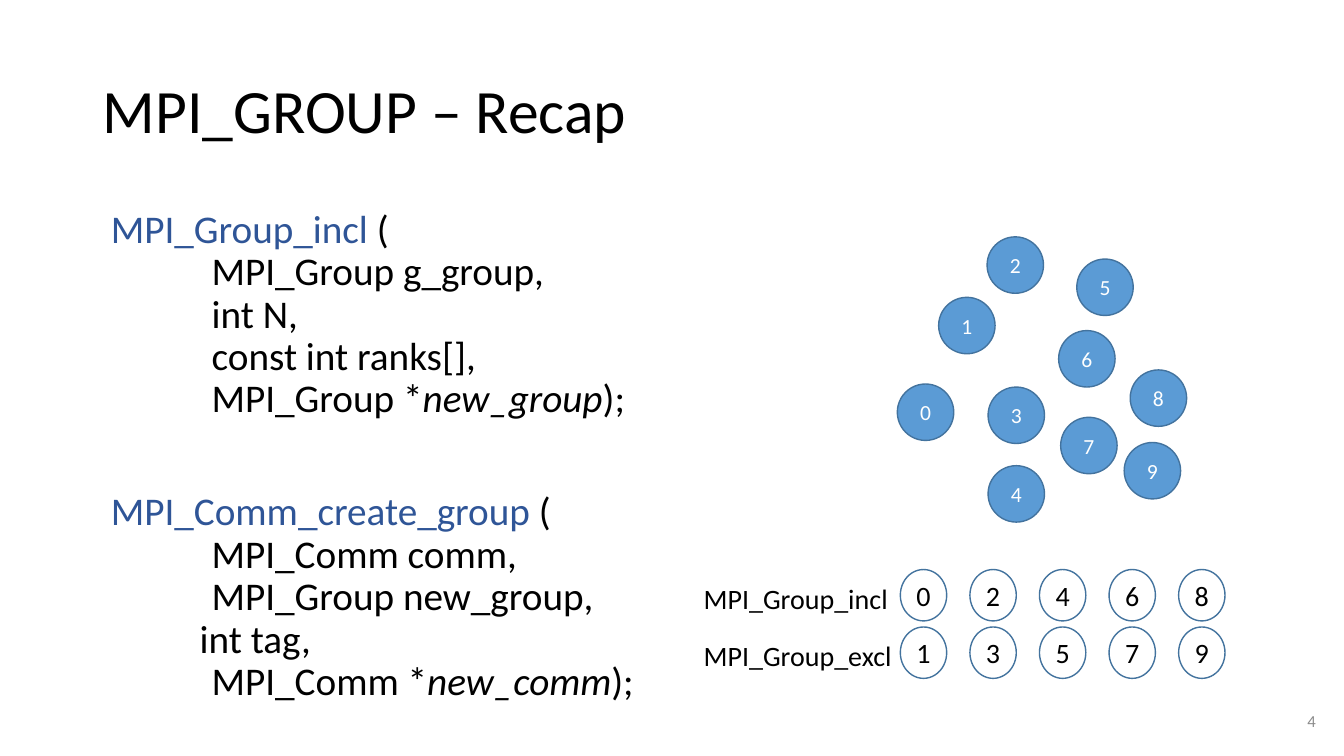
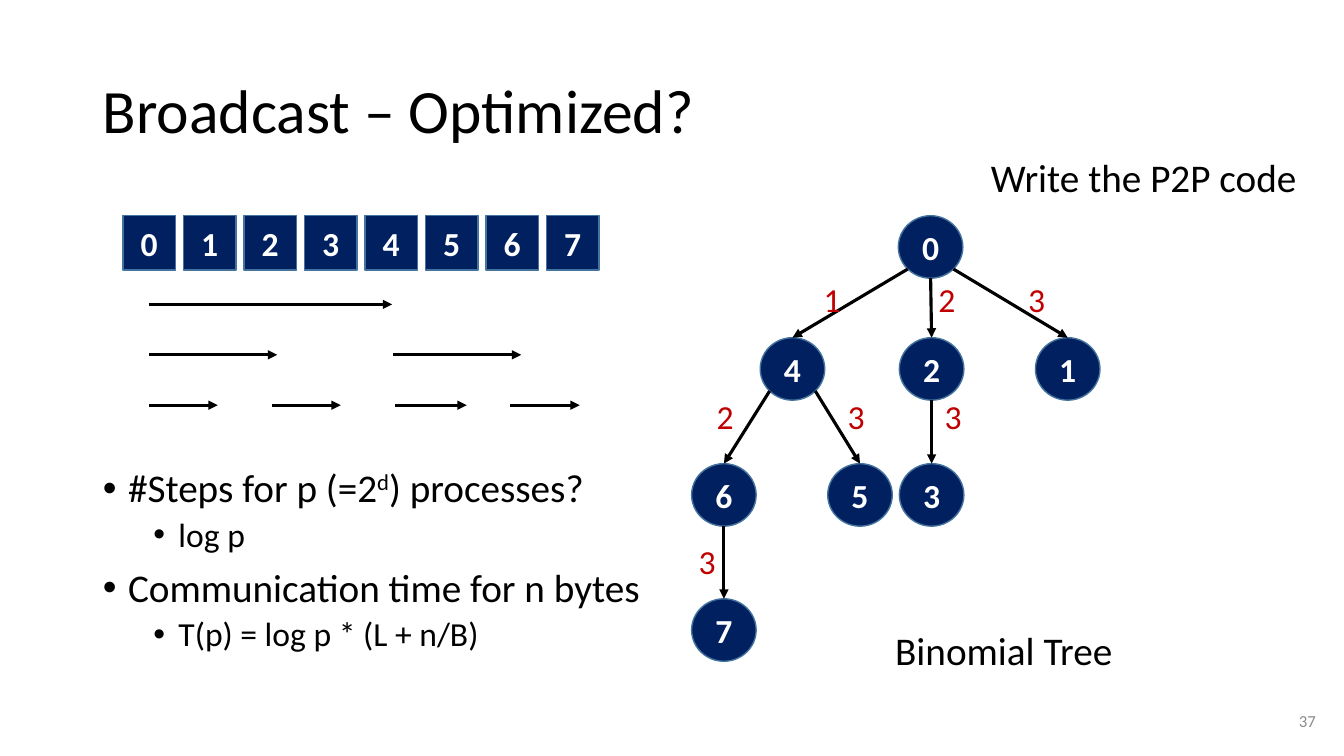
from math import sqrt

from lxml import etree
from pptx import Presentation
from pptx.dml.color import RGBColor
from pptx.enum import shapes, text
from pptx.oxml import ns
from pptx.util import Inches, Pt

FONT = "Calibri"
BLACK = RGBColor(0x00, 0x00, 0x00)
WHITE = RGBColor(0xFF, 0xFF, 0xFF)
GREY = RGBColor(0x8C, 0x8C, 0x8C)
RED = RGBColor(0xC0, 0x00, 0x00)
NAVY = RGBColor(0x00, 0x20, 0x60)
SKY = RGBColor(0x5B, 0x9B, 0xD5)
OUTLINE = RGBColor(0x43, 0x73, 0x9E)
FUNCTION_BLUE = RGBColor(0x2F, 0x55, 0x97)

OVAL = shapes.MSO_SHAPE.OVAL
RECT = shapes.MSO_SHAPE.RECTANGLE
ALIGN = text.PP_ALIGN


def add_run(p, words, size, color=BLACK, bold=False, italic=False):
    r = p.add_run()
    r.text = words
    f = r.font
    f.name, f.size, f.bold, f.italic = FONT, Pt(size), bold, italic
    f.color.rgb = color
    return r


def place(sp, x, y, w, h):
    sp.left, sp.top, sp.width, sp.height = map(Inches, (x, y, w, h))


def add_label(s, x, y, w, h, words, size, color=BLACK, align=ALIGN.LEFT):
    tf = s.shapes.add_textbox(*map(Inches, (x, y, w, h))).text_frame
    tf.word_wrap = False
    p = tf.paragraphs[0]
    p.alignment = align
    add_run(p, words, size, color)
    return tf


def add_node(s, kind, x, y, w, h, words, size, fill, color=WHITE, bold=False):
    """Outlined shape with a short centred text."""
    sp = s.shapes.add_shape(kind, *map(Inches, (x, y, w, h)))
    sp.shadow.inherit = False
    sp.fill.solid()
    sp.fill.fore_color.rgb = fill
    sp.line.color.rgb = OUTLINE
    sp.line.width = Pt(1)
    tf = sp.text_frame
    tf.margin_left = tf.margin_right = tf.margin_top = tf.margin_bottom = 0
    tf.vertical_anchor = text.MSO_ANCHOR.MIDDLE
    p = tf.paragraphs[0]
    p.alignment = ALIGN.CENTER
    add_run(p, words, size, color, bold)


def add_arrow(s, x1, y1, x2, y2):
    line = s.shapes.add_connector(
        shapes.MSO_CONNECTOR.STRAIGHT, *map(Inches, (x1, y1, x2, y2)))
    line.line.color.rgb = BLACK
    line.line.width = Pt(2.25)
    etree.SubElement(line.line._get_or_add_ln(), ns.qn("a:tailEnd"), type="triangle")
    etree.SubElement(line._element.spPr, ns.qn("a:effectLst"))


def format_paragraph(p, margin, indent, before, bullet=None):
    pPr = p._p.get_or_add_pPr()
    pPr.set("marL", str(Inches(margin)))
    pPr.set("indent", str(Inches(indent)))
    if bullet:
        etree.SubElement(pPr, ns.qn("a:buFont"), typeface="Arial")
        etree.SubElement(pPr, ns.qn("a:buChar"), char=bullet)
    else:
        etree.SubElement(pPr, ns.qn("a:buNone"))
    p.alignment = ALIGN.LEFT
    p.line_spacing = 0.9
    p.space_before = Pt(before)


def add_slide(prs, title, number, body_box):
    """Slide with title and page number; returns it with its body text frame."""
    s = prs.slides.add_slide(prs.slide_layouts[1])
    place(s.shapes.title, 0.92, 0.4, 11.5, 1.45)
    body = s.placeholders[1]
    place(body, *body_box)
    for tf in (s.shapes.title.text_frame, body.text_frame):
        tf.auto_size = text.MSO_AUTO_SIZE.NONE
        tf.word_wrap = True
    tf = s.shapes.title.text_frame
    tf.vertical_anchor = text.MSO_ANCHOR.MIDDLE
    format_paragraph(tf.paragraphs[0], 0, 0, 0)
    add_run(tf.paragraphs[0], title, 44)
    tf = add_label(s, 9.42, 6.95, 3.73, 0.4, number, 12, GREY, ALIGN.RIGHT)
    tf.word_wrap = True
    tf.vertical_anchor = text.MSO_ANCHOR.MIDDLE
    return s, body.text_frame


def next_paragraph(tf):
    return tf.add_paragraph() if tf.paragraphs[0].runs else tf.paragraphs[0]


def add_signature(tf, name, parameters, result_type, result, before):
    """Function signature, one parameter per line, the result in italics."""
    p = next_paragraph(tf)
    format_paragraph(p, 0.08, 0, before)
    add_run(p, name, 28, FUNCTION_BLUE)
    add_run(p, " (", 28)
    for words, margin in parameters + [(result_type, 1.08)]:
        p = tf.add_paragraph()
        format_paragraph(p, margin, 0, 0)
        add_run(p, words, 28)
    add_run(p, result, 28, italic=True)
    add_run(p, ");", 28)


def add_process_cloud(s, x, y):
    centres = [(0, 1.46), (0.41, 0.6), (0.89, 0), (0.9, 1.49), (0.9, 2.27),
               (1.78, 0.22), (1.6, 0.93), (1.62, 1.79), (2.31, 1.32), (2.25, 2.04)]
    for rank, (dx, dy) in enumerate(centres):
        add_node(s, OVAL, x + dx, y + dy, 0.56, 0.56, str(rank), 15.4, SKY)


def add_group_rows(s, x, y):
    for row, name in enumerate(("MPI_Group_incl", "MPI_Group_excl")):
        top = y + row * 0.57
        add_label(s, x, top + 0.07, 2.05 + row * 0.04, 0.44, name, 20)
        for col in range(5):
            add_node(s, OVAL, x + 2.05 + col * 0.69, top, 0.46, 0.51,
                     str(2 * col + row), 20, WHITE, BLACK)


def add_broadcast_steps(s, x, y):
    """Row of processes, with the messages of each step as arrows below."""
    for rank in range(8):
        add_node(s, RECT, x + rank * 0.6, y, 0.52, 0.54, str(rank), 24, NAVY, bold=True)
    steps = [[(0.26, 2.67)],
             [(0.26, 1.53), (2.68, 3.95)],
             [(0.26, 0.94), (1.48, 2.16), (2.7, 3.41), (3.84, 4.53)]]
    for i, messages in enumerate(steps):
        level = y + 0.88 + i * 0.5
        for start, end in messages:
            add_arrow(s, x + start, level, x + end, level)


def add_binomial_tree(s, x, y):
    w, h = 0.64, 0.62
    nodes = {0: (2.05, 0), 4: (0.68, 1.21), 2: (2.06, 1.21), 1: (3.41, 1.21),
             6: (0, 2.46), 5: (1.35, 2.46), 3: (2.06, 2.46), 7: (0, 3.8)}
    # parent, child, step, left and top of the step label
    edges = [(0, 4, 1, 1.21, 0.58), (0, 2, 2, 2.35, 0.58), (0, 1, 3, 3.24, 0.58),
             (4, 6, 2, 0.15, 1.74), (4, 5, 3, 1.45, 1.74), (2, 3, 3, 2.41, 1.74),
             (6, 7, 3, -0.03, 3.18)]
    for rank, (dx, dy) in nodes.items():
        add_node(s, OVAL, x + dx, y + dy, w, h, str(rank), 24, NAVY, bold=True)
    for parent, child, step, label_x, label_y in edges:
        (px, py), (cx, cy) = nodes[parent], nodes[child]
        side = 0 if abs(cx - px) < 0.1 else (1 if cx > px else -1)
        drop = 1 / sqrt(2) if side else 1
        add_arrow(s, x + px + w / 2 * (1 + side * drop), y + py + h / 2 * (1 + drop),
                  x + cx + w / 2, y + cy)
        add_label(s, x + label_x, y + label_y, 0.37, 0.5, str(step), 24, RED)


def add_bullets(tf, items):
    """Items are (level, runs); a run is (words, is_superscript)."""
    for i, (level, runs) in enumerate(items):
        p = next_paragraph(tf)
        p.level = level
        before = (5 if level else 10) if i else 0
        format_paragraph(p, 0.25 + level * 0.5, -0.25, before, "•")
        for words, is_superscript in runs:
            r = add_run(p, words, 24 if level else 28)
            if is_superscript:
                r.font._element.set("baseline", "30000")


def build_group_slide(prs):
    s, tf = add_slide(prs, "MPI_GROUP – Recap", "4", (0.92, 2.03, 5.92, 5.38))
    add_signature(tf, "MPI_Group_incl",
                  [("MPI_Group g_group,", 1.08), ("int N,", 1.08),
                   ("const int ranks[],", 1.08)],
                  "MPI_Group *", "new_group", 0)
    add_signature(tf, "MPI_Comm_create_group",
                  [("MPI_Comm comm,", 1.08), ("MPI_Group new_group,", 1.08),
                   ("int tag,", 0.96)],
                  "MPI_Comm *", "new_comm", 50.5)
    add_process_cloud(s, 8.9, 2.35)
    add_group_rows(s, 6.88, 5.65)


def build_broadcast_slide(prs):
    s, tf = add_slide(prs, "Broadcast – Optimized?", "37", (0.92, 4.6, 5.94, 2.5))
    add_bullets(tf, [
        (0, [("#Steps for p (=2", False), ("d", True), (") processes?", False)]),
        (1, [("log p", False)]),
        (0, [("Communication time for n bytes", False)]),
        (1, [("T(p) = log p * (L + n/B)", False)]),
    ])
    add_broadcast_steps(s, 1.22, 2.14)
    add_binomial_tree(s, 6.86, 2.14)
    add_label(s, 8.78, 6.16, 2.38, 0.57, "Binomial Tree", 28)
    add_label(s, 9.73, 1.47, 3.27, 0.57, "Write the P2P code", 28)


def main():
    prs = Presentation()
    prs.slide_width, prs.slide_height = Inches(13.33), Inches(7.5)
    build_group_slide(prs)
    build_broadcast_slide(prs)
    prs.save("out.pptx")


if __name__ == "__main__":
    main()
